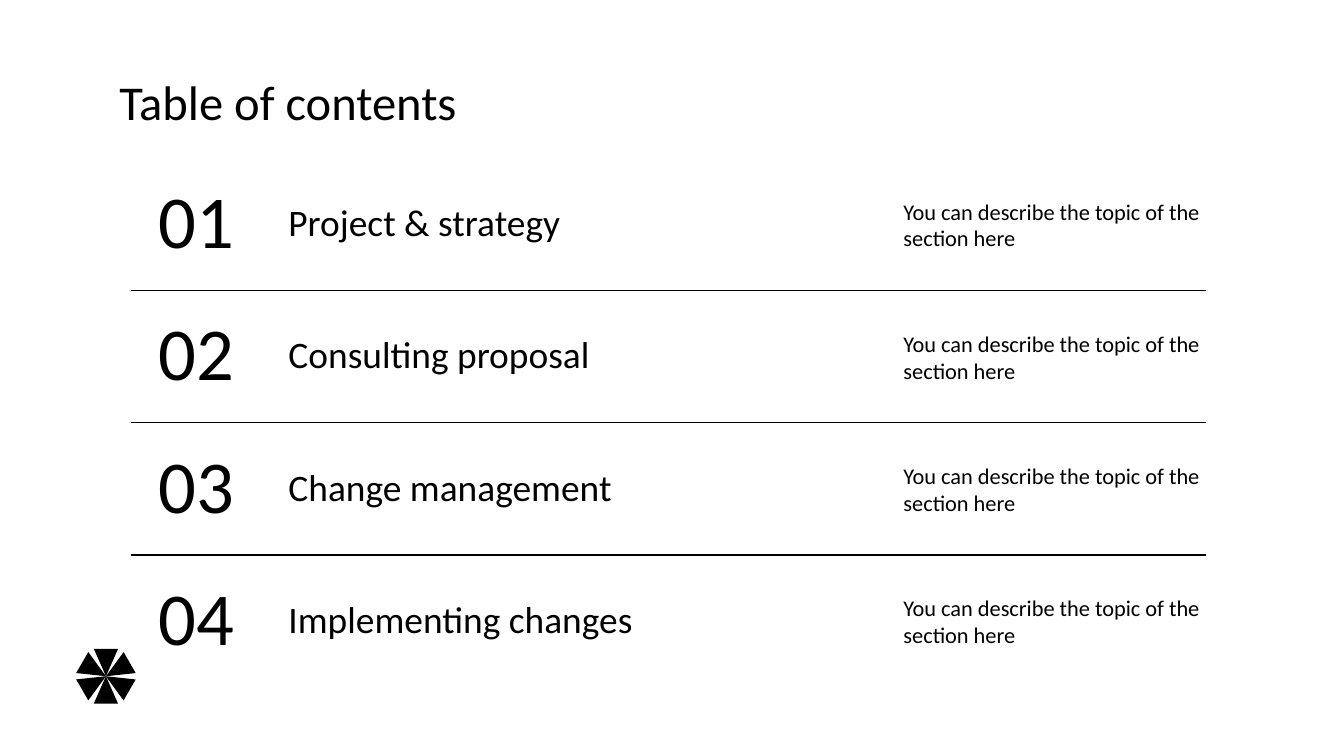
from dataclasses import dataclass
from math import cos, radians, sin

from lxml import etree
from pptx import Presentation
from pptx.dml.color import RGBColor
from pptx.enum.shapes import MSO_CONNECTOR, MSO_SHAPE
from pptx.enum.text import MSO_ANCHOR, PP_ALIGN
from pptx.oxml.ns import qn
from pptx.slide import Slide
from pptx.util import Cm, Pt

STRAIGHT = MSO_CONNECTOR.STRAIGHT
TRIANGLE = MSO_SHAPE.ISOSCELES_TRIANGLE
TOP, MIDDLE = MSO_ANCHOR.TOP, MSO_ANCHOR.MIDDLE
LEFT, CENTER = PP_ALIGN.LEFT, PP_ALIGN.CENTER


@dataclass(frozen=True)
class Theme:
    font: str = "Calibri"
    ink: RGBColor = RGBColor(0, 0, 0)
    paper: RGBColor = RGBColor(255, 255, 255)
    title_size: float = 34.7
    number_size: float = 53.3
    heading_size: float = 26.7
    description_size: float = 16
    rule_width: float = 0.75


@dataclass(frozen=True)
class TextStyle:
    size: float
    anchor: MSO_ANCHOR = MIDDLE
    alignment: PP_ALIGN = LEFT
    line_spacing: float = 0.9


@dataclass(frozen=True)
class Column:
    left: float
    width: float
    height: float
    style: TextStyle


@dataclass(frozen=True)
class Section:
    number: str
    heading: str
    description: str = "You can describe the topic of the section here"


THEME = Theme()

# All lengths are in centimetres
TEXT_INSET = 0.34
FIRST_ROW_CENTER, ROW_PITCH = 5.66, 3.33
RULE_LEFT, RULE_RIGHT = 3.3, 30.38
WHEEL_X, WHEEL_Y = 2.67, 17.04
BLADE_WIDTH, BLADE_HEIGHT, BLADE_COUNT = 0.61, 0.69, 6

TITLE_STYLE = TextStyle(THEME.title_size, anchor=TOP)
NUMBER = Column(3.51, 2.87, 2.82, TextStyle(THEME.number_size, alignment=CENTER))
HEADING = Column(6.93, 14.38, 1.45, TextStyle(THEME.heading_size))
DESCRIPTION = Column(
    22.43, 8.31, 2.13, TextStyle(THEME.description_size, line_spacing=1.0)
)

SECTIONS = [
    Section("01", "Project & strategy"),
    Section("02", "Consulting proposal"),
    Section("03", "Change management"),
    Section("04", "Implementing changes"),
]


def add_text(slide: Slide, text: str, left: float, top: float, width: float,
             height: float, style: TextStyle) -> None:
    box = slide.shapes.add_textbox(Cm(left), Cm(top), Cm(width), Cm(height))
    text_frame = box.text_frame
    text_frame.word_wrap = True
    text_frame.vertical_anchor = style.anchor
    text_frame.margin_left = text_frame.margin_right = Cm(TEXT_INSET)
    text_frame.margin_top = text_frame.margin_bottom = Cm(TEXT_INSET)
    text_frame.text = text
    paragraph = text_frame.paragraphs[0]
    paragraph.alignment = style.alignment
    paragraph.line_spacing = style.line_spacing
    font = paragraph.runs[0].font
    font.name = THEME.font
    font.size = Pt(style.size)
    font.color.rgb = THEME.ink


def add_cell(slide: Slide, text: str, column: Column, center: float) -> None:
    add_text(slide, text, column.left, center - column.height / 2,
             column.width, column.height, column.style)


def add_rule(slide: Slide, y: float) -> None:
    rule = slide.shapes.add_connector(
        STRAIGHT, Cm(RULE_LEFT), Cm(y), Cm(RULE_RIGHT), Cm(y)
    )
    rule.line.color.rgb = THEME.ink
    rule.line.width = Pt(THEME.rule_width)
    etree.SubElement(rule._element.spPr, qn("a:effectLst"))


def add_wheel(slide: Slide) -> None:
    """Draw triangles whose tips all meet at the wheel's centre."""
    wheel = slide.shapes.add_group_shape()
    for index in range(BLADE_COUNT):
        angle = index * 360 / BLADE_COUNT
        center_x = WHEEL_X - sin(radians(angle)) * BLADE_HEIGHT / 2
        center_y = WHEEL_Y + cos(radians(angle)) * BLADE_HEIGHT / 2
        blade = wheel.shapes.add_shape(
            TRIANGLE,
            Cm(center_x - BLADE_WIDTH / 2), Cm(center_y - BLADE_HEIGHT / 2),
            Cm(BLADE_WIDTH), Cm(BLADE_HEIGHT),
        )
        blade.rotation = angle
        blade.shadow.inherit = False
        blade.fill.solid()
        blade.fill.fore_color.rgb = THEME.ink
        blade.line.fill.background()


def main() -> None:
    presentation = Presentation()
    presentation.slide_width, presentation.slide_height = Cm(33.87), Cm(19.05)
    slide = presentation.slides.add_slide(presentation.slide_layouts[6])
    slide.background.fill.solid()
    slide.background.fill.fore_color.rgb = THEME.paper

    # Title
    add_text(slide, "Table of contents", 2.67, 1.65, 28.52, 2.13, TITLE_STYLE)

    # Sections, with a rule between each pair
    for index, section in enumerate(SECTIONS):
        center = FIRST_ROW_CENTER + index * ROW_PITCH
        add_cell(slide, section.number, NUMBER, center)
        add_cell(slide, section.heading, HEADING, center)
        add_cell(slide, section.description, DESCRIPTION, center)
        if index < len(SECTIONS) - 1:
            add_rule(slide, center + ROW_PITCH / 2)

    # Corner ornament
    add_wheel(slide)

    presentation.save("out.pptx")


if __name__ == "__main__":
    main()
